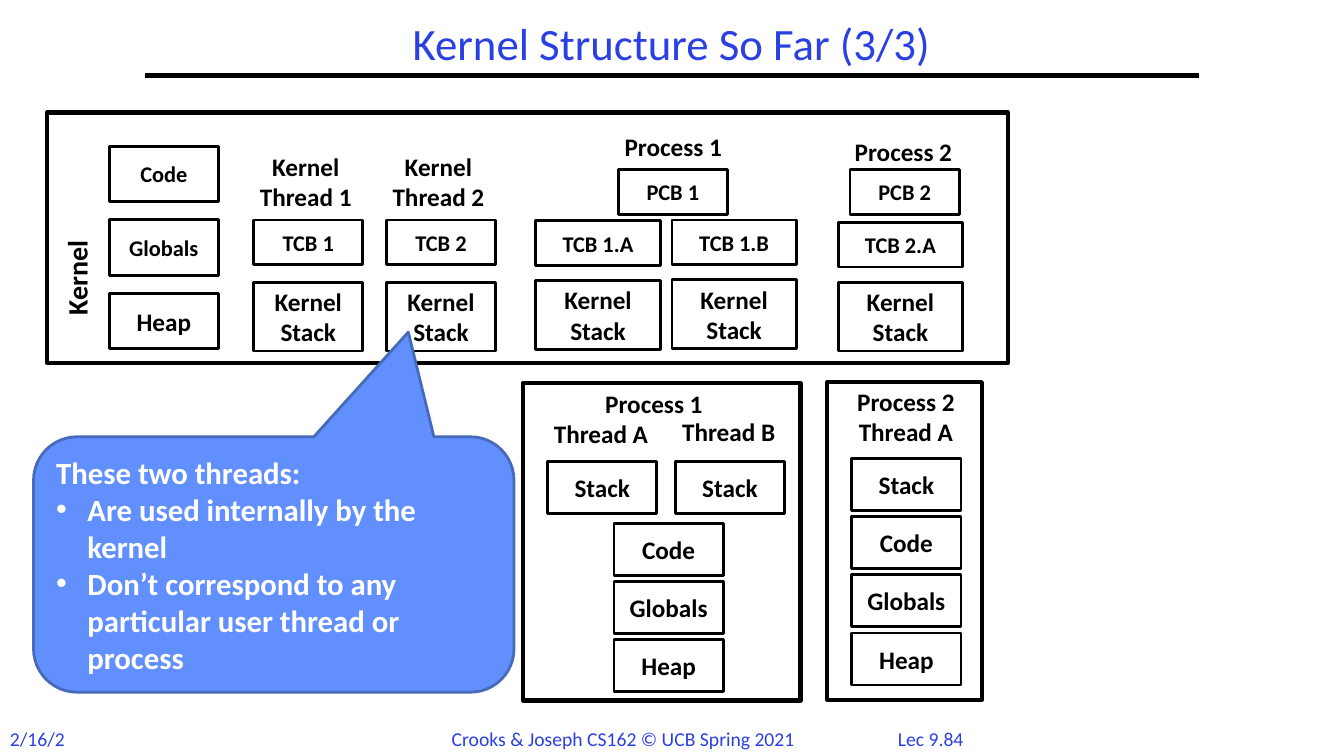
from lxml import etree
from pptx import Presentation
from pptx.dml.color import RGBColor
from pptx.enum.shapes import MSO_CONNECTOR, MSO_SHAPE
from pptx.enum.text import MSO_ANCHOR, PP_ALIGN
from pptx.oxml.ns import qn
from pptx.util import Inches, Pt

RECT, CALLOUT = MSO_SHAPE.RECTANGLE, MSO_SHAPE.ROUNDED_RECTANGULAR_CALLOUT
STRAIGHT = MSO_CONNECTOR.STRAIGHT
LEFT, CENTER = PP_ALIGN.LEFT, PP_ALIGN.CENTER
MIDDLE = MSO_ANCHOR.MIDDLE

BLACK = RGBColor(0x00, 0x00, 0x00)
WHITE = RGBColor(0xFF, 0xFF, 0xFF)
TITLE_BLUE = RGBColor(0x2A, 0x40, 0xE2)
CALLOUT_BLUE = RGBColor(0x61, 0x8F, 0xFD)
CALLOUT_EDGE = RGBColor(0x48, 0x6A, 0xBB)

COLS, ROWS = 160, 90
BOX_W, WIDE_W = 13, 14.8
TCB_H, STACK_H, MEM_H = 5.3, 8.2, 6.2
MEM_PITCH = 6.92


class Deck:
    """Holds the style and the current slide; lengths are grid columns and rows."""

    font = "Calibri"

    def __init__(self):
        self.prs = Presentation()
        self.prs.slide_width, self.prs.slide_height = Inches(13.33), Inches(7.5)
        self.col = self.prs.slide_width / COLS
        self.row = self.prs.slide_height / ROWS
        self.s = self.prs.slides.add_slide(self.prs.slide_layouts[5])

    def place(self, x, y, w, h):
        return (round(x * self.col), round(y * self.row),
                round(w * self.col), round(h * self.row))

    def set_text(self, tf, paras, size, color=BLACK, bold=True, align=CENTER):
        style = {"name": self.font, "size": Pt(size), "bold": bold}
        for i, text in enumerate(paras):
            p = tf.paragraphs[0] if i == 0 else tf.add_paragraph()
            p.text, p.alignment = text, align
            for r in p.runs:
                r.font.color.rgb = color
                for name, value in style.items():
                    setattr(r.font, name, value)

    def title(self, text, at):
        sp = self.s.shapes.title
        sp.left, sp.top, sp.width, sp.height = self.place(*at)
        tf = sp.text_frame
        tf.vertical_anchor = MIDDLE
        self.set_text(tf, [text], 32, TITLE_BLUE, False)
        tf.paragraphs[0].line_spacing = 0.9

    def rule(self, x1, x2, y):
        left, top, width, _ = self.place(x1, y, x2 - x1, 0)
        line = self.s.shapes.add_connector(STRAIGHT, left, top, left + width, top)
        line.line.color.rgb, line.line.width = BLACK, Pt(3)
        etree.SubElement(line._element.spPr, qn("a:effectLst"))

    def label(self, paras, at, size=18, **style):
        sp = self.s.shapes.add_textbox(*self.place(*at))
        tf = sp.text_frame
        tf.word_wrap = False
        self.set_text(tf, paras, size, **style)
        return tf

    def side_label(self, text, at):
        """Text that reads from bottom to top."""
        tf = self.label([text], at, 20, align=LEFT)
        tf._txBody.bodyPr.set("vert", "vert270")

    def shape(self, kind, at, width, fill=None, edge=BLACK):
        sp = self.s.shapes.add_shape(kind, *self.place(*at))
        sp.shadow.inherit = False
        sp.line.color.rgb, sp.line.width = edge, Pt(width)
        if fill is None:
            sp.fill.background()
        else:
            sp.fill.solid()
            sp.fill.fore_color.rgb = fill
        return sp

    def frame(self, *at):
        self.shape(RECT, at, 3)

    def box(self, text, at, size=18):
        tf = self.shape(RECT, at, 2).text_frame
        tf.vertical_anchor = MIDDLE
        self.set_text(tf, [text], size)

    def memory(self, names, x, y):
        """Stack equal memory boxes downwards from x, y."""
        for i, name in enumerate(names):
            self.box(name, (x, y + i * MEM_PITCH, BOX_W, MEM_H))

    def callout(self, heading, bullets, at, adjustments):
        sp = self.shape(CALLOUT, at, 2, CALLOUT_BLUE, CALLOUT_EDGE)
        for i, value in enumerate(adjustments):
            sp.adjustments[i] = value
        tf = sp.text_frame
        tf.vertical_anchor = MIDDLE
        self.set_text(tf, [heading, *bullets], 22, WHITE, align=LEFT)
        for p in tf.paragraphs[1:]:
            pPr = p._p.get_or_add_pPr()
            pPr.set("marL", str(Inches(0.31)))
            pPr.set("indent", str(-Inches(0.31)))
            etree.SubElement(pPr, qn("a:buFont"), typeface="Arial")
            etree.SubElement(pPr, qn("a:buChar"), char="•")


def kernel(d):
    d.frame(5.6, 13.4, 114.4, 29.8)
    d.side_label("Kernel", (6.5, 18.5, 6.5, 20.2))
    for i, (name, size) in enumerate([("Code", 16), ("Globals", 16), ("Heap", 18)]):
        d.box(name, (13, 17.4 + i * 8.76, BOX_W, 6.6), size)

    for i in range(2):
        x = 30.2 + i * 15.8
        d.label(["Kernel", f"Thread {i + 1}"], (x - 1.3, 17.4, 15, 8.5))
        d.box(f"TCB {i + 1}", (x, 26.2, BOX_W, TCB_H), 16)
        d.box("Kernel\nStack", (x, 33.6, BOX_W, STACK_H))

    for number, label_x, label_y, pcb_x in [(1, 71.8, 15.1, 73.6), (2, 99.2, 15.6, 101.2)]:
        d.label([f"Process {number}"], (label_x, label_y, 16.7, 4.8))
        d.box(f"PCB {number}", (pcb_x, 20.2, BOX_W, TCB_H), 16)

    for name, x, tcb_y, stack_y in [("1.A", 63.8, 26.3, 33.4), ("1.B", 80, 26.2, 33.3),
                                    ("2.A", 99.8, 26.5, 33.6)]:
        d.box(f"TCB {name}", (x, tcb_y, WIDE_W, TCB_H), 16)
        d.box("Kernel\nStack", (x, stack_y, WIDE_W, STACK_H))


def user_processes(d):
    d.frame(62.3, 45.6, 33, 37.8)
    d.label(["Process 1"], (69.5, 45.6, 16.7, 4.8))
    for name, x, y, stack_x in [("A", 63.8, 49.2, 65.2), ("B", 79, 49, 80.4)]:
        d.label([f"Thread {name}"], (x, y, 15.5, 4.8))
        d.memory(["Stack"], stack_x, 54.9)
    d.memory(["Code", "Globals", "Heap"], 73.1, 62.3)

    d.frame(98.5, 45.5, 18.4, 37.8)
    d.label(["Process 2", "Thread A"], (99.5, 45.4, 16.7, 8.5))
    d.memory(["Stack", "Code", "Globals", "Heap"], 101.4, 54.6)


def footer(d):
    for text, x, w, align in [("2/16/21", 0, 9.6, LEFT),
                              ("Crooks & Joseph CS162 © UCB Spring 2021", 52.6, 45.1, LEFT),
                              ("Lec 9.84", 105, 11.6, CENTER)]:
        d.label([text], (x, 85.9, w, 4), 14, color=TITLE_BLUE, bold=False, align=align)


def main():
    d = Deck()
    d.title("Kernel Structure So Far (3/3)", (17.3, 2, 125.3, 7))
    d.rule(17.3, 142.7, 9)
    footer(d)
    kernel(d)
    user_processes(d)
    d.callout("These two threads:",
              ["Are used internally by the kernel",
               "Don’t correspond to any particular user thread or process"],
              (4, 52, 57.2, 30.4), (0.28, -0.91, 0.17))
    d.prs.save("out.pptx")


if __name__ == "__main__":
    main()
